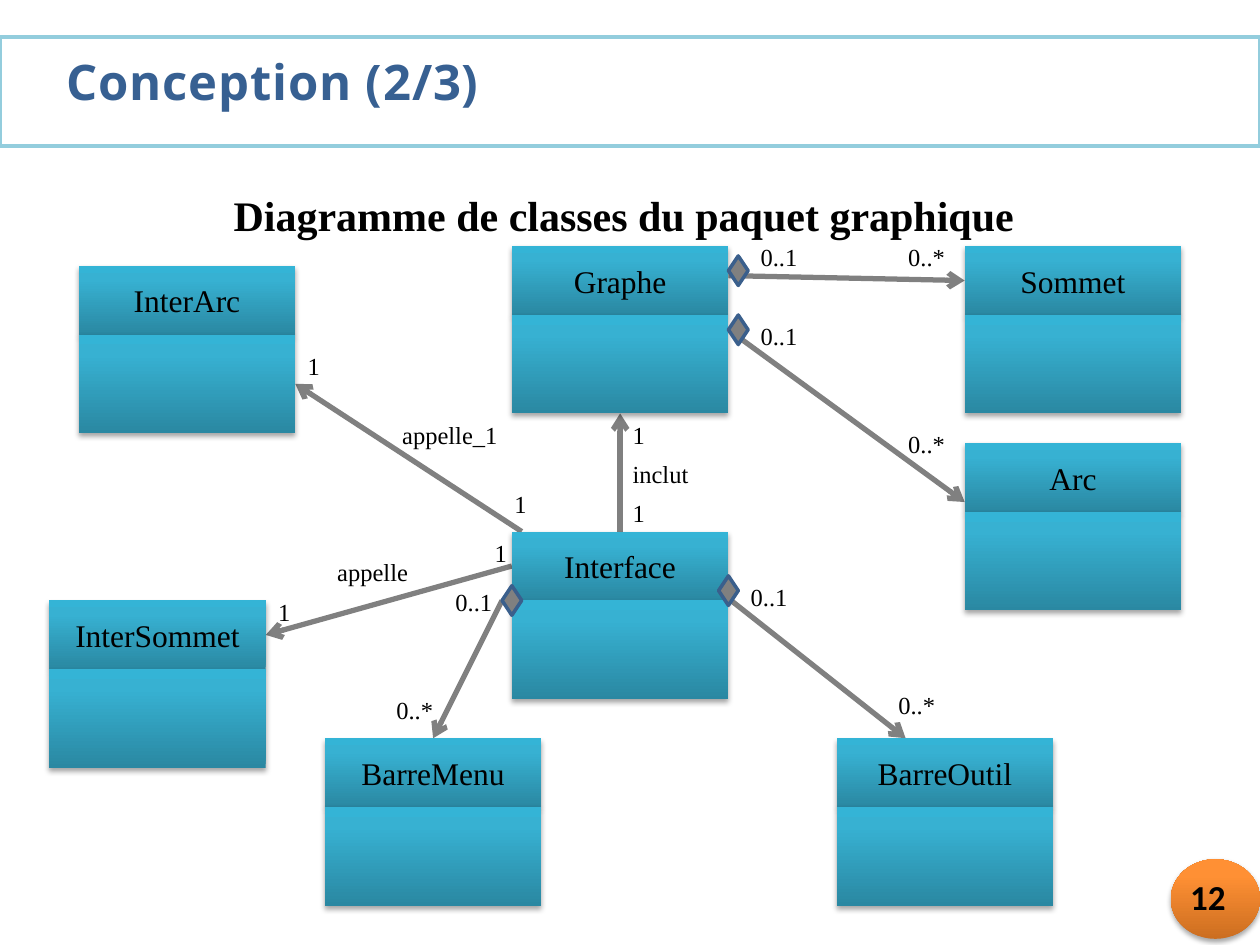
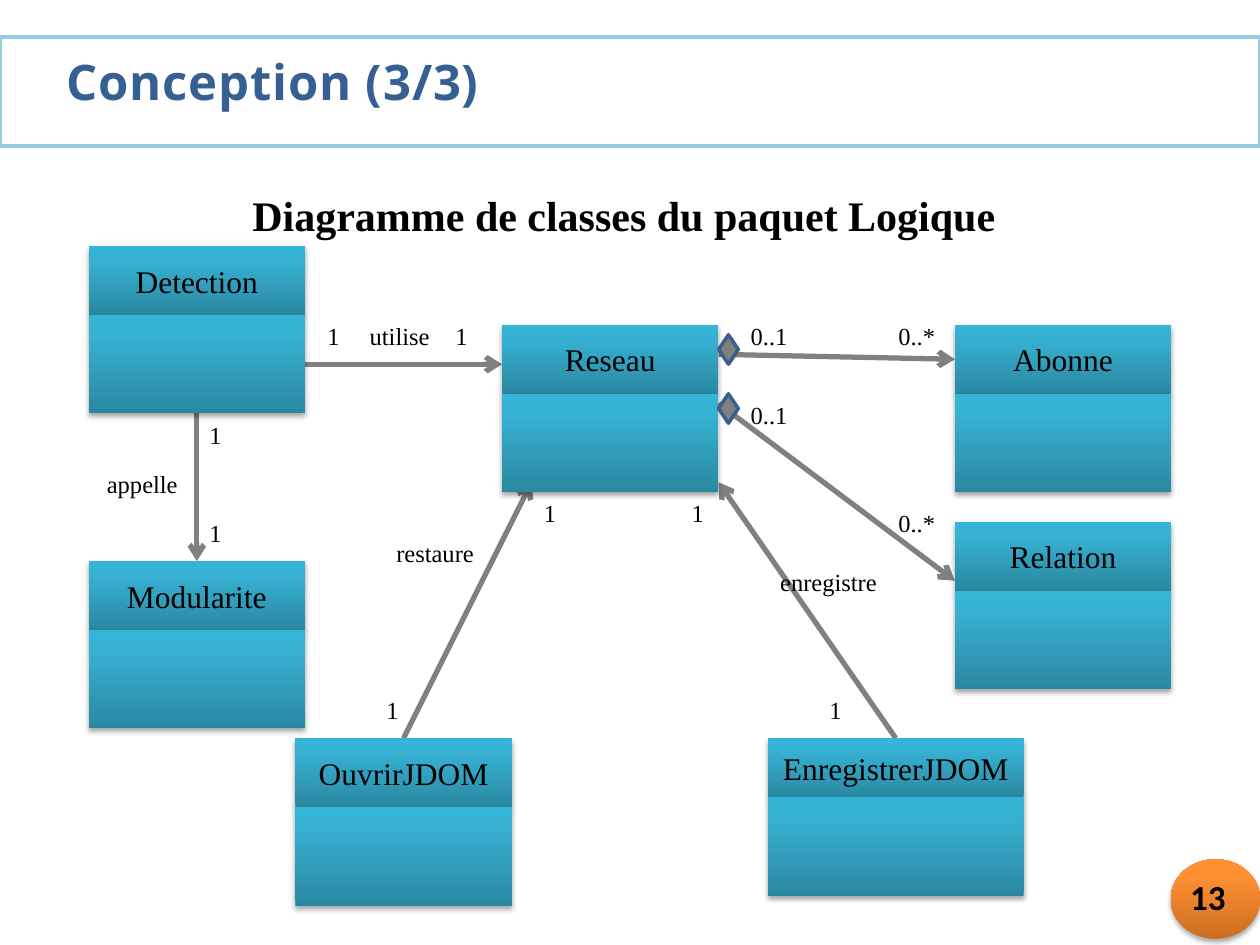
from lxml import etree
from pptx import Presentation
from pptx.dml.color import RGBColor
from pptx.enum.shapes import MSO_CONNECTOR, MSO_SHAPE
from pptx.enum.text import MSO_ANCHOR, PP_ALIGN
from pptx.oxml.ns import qn
from pptx.util import Pt

RECTANGLE, OVAL, DIAMOND = MSO_SHAPE.RECTANGLE, MSO_SHAPE.OVAL, MSO_SHAPE.DIAMOND
STRAIGHT = MSO_CONNECTOR.STRAIGHT
LEFT, CENTER = PP_ALIGN.LEFT, PP_ALIGN.CENTER
TOP, MIDDLE = MSO_ANCHOR.TOP, MSO_ANCHOR.MIDDLE

BLACK = RGBColor(0x00, 0x00, 0x00)
WHITE = RGBColor(0xFF, 0xFF, 0xFF)
GRAY = RGBColor(0x80, 0x80, 0x80)
TITLE_BLUE = RGBColor(0x37, 0x60, 0x92)
BAND_BLUE = RGBColor(0x93, 0xCD, 0xDD)
DIAMOND_BLUE = RGBColor(0x3A, 0x5F, 0x8C)
TEAL_STOPS = [
    (0, RGBColor(0x2A, 0x88, 0xA2)),
    (80, RGBColor(0x37, 0xB1, 0xD2)),
    (100, RGBColor(0x34, 0xB4, 0xD6)),
]
ORANGE_STOPS = [
    (0, RGBColor(0xCC, 0x6E, 0x20)),
    (80, RGBColor(0xFF, 0x90, 0x34)),
    (100, RGBColor(0xFF, 0x91, 0x36)),
]
SERIF, TITLE_FONT, NUMBER_FONT = "Times New Roman", "Open Sans", "Calibri"

PAGE_WIDTH, PAGE_HEIGHT = 720, 540
GRID = PAGE_WIDTH / 128
CLASS_WIDTH, HEAD_HEIGHT, BODY_HEIGHT = 22, 7, 10


def points(*lengths):
    return [Pt(length) for length in lengths]


def grid(*cells):
    return points(*(cell * GRID for cell in cells))


def write(shape, text, size, font=SERIF, color=BLACK, bold=False, align=LEFT, anchor=TOP):
    frame = shape.text_frame
    frame.word_wrap = True
    frame.vertical_anchor = anchor
    para = frame.paragraphs[0]
    para.text = text
    para.alignment = align
    para.font.size = Pt(size)
    para.font.name = font
    para.font.bold = bold
    para.font.color.rgb = color
    return para


def add_flat_shape(page, kind, box, fill, line):
    shape = page.shapes.add_shape(kind, *box)
    shape.shadow.inherit = False
    shape.fill.solid()
    shape.fill.fore_color.rgb = fill
    shape.line.color.rgb = line
    shape.line.width = Pt(2)
    return shape


def add_glossy_shape(page, kind, box, stops):
    shape = page.shapes.add_shape(kind, *box)
    shape.line.fill.background()
    shape.fill.gradient()
    shape.fill.gradient_angle = 90
    properties = shape.element.spPr
    stop_list = properties.find(".//" + qn("a:gsLst"))
    stop_list.clear()
    for percent, color in stops:
        stop = etree.SubElement(stop_list, qn("a:gs"), pos=str(percent * 1000))
        etree.SubElement(stop, qn("a:srgbClr"), val=str(color))
    shape.shadow.inherit = False
    shadow = etree.SubElement(
        properties.find(qn("a:effectLst")), qn("a:outerShdw"),
        blurRad=str(Pt(3.1)), dist=str(Pt(1.8)), dir="5400000", rotWithShape="0",
    )
    shade = etree.SubElement(shadow, qn("a:srgbClr"), val=str(BLACK))
    etree.SubElement(shade, qn("a:alpha"), val="35000")
    return shape


def add_header(page, title, heading):
    add_flat_shape(page, RECTANGLE, points(0, 21, PAGE_WIDTH, 62.5), WHITE, BAND_BLUE)
    title_box = page.shapes.add_textbox(*points(31, 26, 306, 41))
    para = write(title_box, title, 28, TITLE_FONT, TITLE_BLUE, bold=True)
    para.runs[0].font._element.set("spc", "50")
    heading_box = page.shapes.add_textbox(*points(22, 105, 669, 36))
    write(heading_box, heading, 24, bold=True, align=CENTER)


def add_page_number(page, number):
    add_glossy_shape(page, OVAL, points(669, 491, 51, 45.5), ORANGE_STOPS)
    number_box = page.shapes.add_textbox(*points(673, 497, 40, 31.5))
    write(number_box, str(number), 20, NUMBER_FONT, bold=True)


def add_class(page, name, left, top, width=CLASS_WIDTH, head=HEAD_HEIGHT):
    head_box = add_glossy_shape(page, RECTANGLE, grid(left, top, width, head), TEAL_STOPS)
    head_box.text_frame.margin_left = head_box.text_frame.margin_right = 0
    write(head_box, name, 18, align=CENTER, anchor=MIDDLE)
    add_glossy_shape(page, RECTANGLE, grid(left, top + head, width, BODY_HEIGHT), TEAL_STOPS)


def add_link(page, *ends):
    link = page.shapes.add_connector(STRAIGHT, *grid(*ends))
    link.line.color.rgb = GRAY
    link.line.width = Pt(3)
    etree.SubElement(link.line._get_or_add_ln(), qn("a:tailEnd"), type="arrow")
    etree.SubElement(link.element.spPr, qn("a:effectLst"))


def add_label(page, text, left, top):
    width = 3 if len(text) == 1 else 7 if len(text) == 4 else 14
    label = page.shapes.add_textbox(*grid(left, top, width, 4.3))
    write(label, text, 14)


def add_class_diagram(page, classes, links, diamonds, labels):
    for ends in links:
        add_link(page, *ends)
    for placement in classes:
        add_class(page, *placement)
    for left, top in diamonds:
        add_flat_shape(page, DIAMOND, grid(left, top, 2, 3), GRAY, DIAMOND_BLUE)
    for text, places in labels.items():
        for left, top in places:
            add_label(page, text, left, top)


GRAPHIC_PACKAGE = {
    "classes": [
        ("InterSommet", 5, 61),
        ("InterArc", 8, 27),
        ("Graphe", 52, 25),
        ("Sommet", 98, 25),
        ("Arc", 98, 45),
        ("BarreOutil", 85, 75),
        ("Interface", 52, 54),
        ("BarreMenu", 33, 75),
    ],
    "links": [
        (74, 28, 98, 28.5),
        (53, 54, 30, 39),
        (63, 54, 63, 42),
        (74, 33.5, 98, 51),
        (52, 57.5, 27, 64.5),
        (73, 60, 92, 75),
        (51, 61, 44, 75),
    ],
    "diamonds": [(74, 32), (74, 26), (73, 58.5), (51, 59.5)],
    "labels": {
        "appelle": [(33, 56)],
        "appelle_1": [(39.6, 42)],
        "inclut": [(63, 46)],
        "1": [(49, 54), (27, 60), (51, 49), (63, 50), (30, 35), (63, 42)],
        "0..1": [(76, 32), (76, 24), (75, 58.5), (45, 59)],
        "0..*": [(91, 43), (91, 24), (90, 69.5), (39, 70)],
    },
}

LOGIC_PACKAGE = {
    "classes": [
        ("Modularite", 9, 57),
        ("Detection", 9, 25),
        ("Reseau", 51, 33),
        ("Abonne", 97, 33),
        ("Relation", 97, 53),
        ("OuvrirJDOM", 30, 75),
        ("EnregistrerJDOM", 78, 75, 26, 6),
    ],
    "links": [
        (41, 75, 54, 49),
        (73, 36, 97, 36.5),
        (31, 37, 51, 37),
        (20, 42, 20, 57),
        (91, 75, 73, 49),
        (73, 41, 97, 59),
    ],
    "diamonds": [(73, 40), (73, 34)],
    "labels": {
        "restaure": [(39, 54)],
        "utilise": [(36.3, 32)],
        "enregistre": [(78, 57)],
        "appelle": [(9.6, 47)],
        "1": [(32, 32), (45, 32), (20, 42), (20, 52), (54, 50), (38, 70), (69, 50), (83, 70)],
        "0..1": [(75, 40), (75, 32)],
        "0..*": [(90, 51), (90, 32)],
    },
}

PAGES = [
    (12, "Conception (2/3)", "Diagramme de classes du paquet graphique", GRAPHIC_PACKAGE),
    (13, "Conception (3/3)", "Diagramme de classes du paquet Logique", LOGIC_PACKAGE),
]

deck = Presentation()
deck.slide_width, deck.slide_height = points(PAGE_WIDTH, PAGE_HEIGHT)
for number, title, heading, diagram in PAGES:
    page = deck.slides.add_slide(deck.slide_layouts[6])
    add_header(page, title, heading)
    add_page_number(page, number)
    add_class_diagram(page, **diagram)
deck.save("out.pptx")
